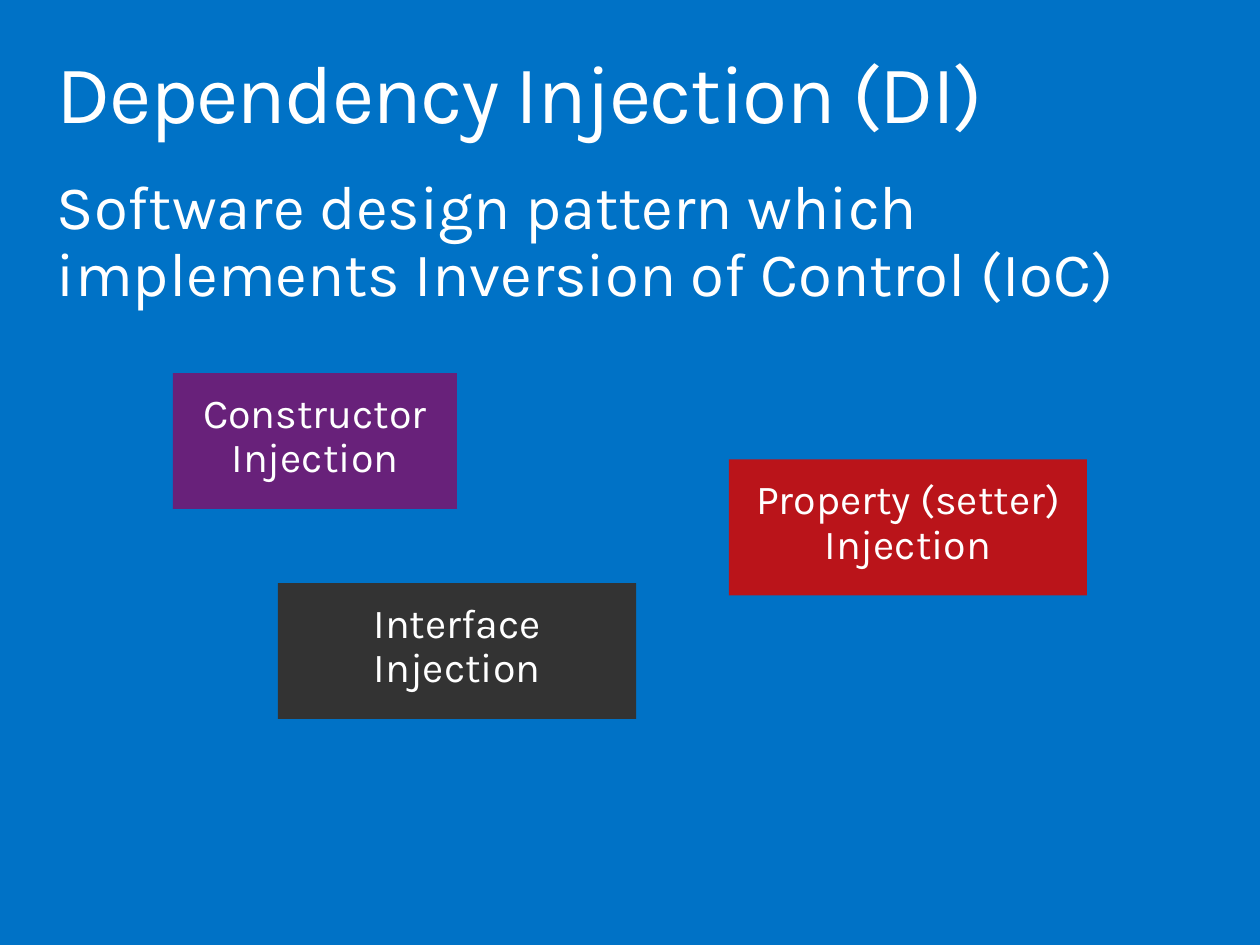
import pptx
import pptx.dml.color
import pptx.enum.shapes
import pptx.enum.text
import pptx.oxml.ns
import pptx.util
from dataclasses import dataclass

CELL = pptx.util.Inches(0.1)  # grid step
COLS, ROWS = 102, 76.5
ALIGN = pptx.enum.text.PP_ALIGN


@dataclass(frozen=True)
class Theme:
    font: str = "Karla"
    back: str = "0072C6"
    text: str = "FFFFFF"
    purple: str = "68217A"
    red: str = "BA141A"
    gray: str = "333333"
    title: int = 48
    body: int = 36
    label: int = 24


THEME = Theme()


def grid(count):
    return round(count * CELL)


def color(code):
    return pptx.dml.color.RGBColor.from_string(code)


def apply(item, values):
    for name, value in values.items():
        setattr(item, name, value)


def paint(fill, code):
    fill.solid()
    fill.fore_color.rgb = color(code)


def place(shape, left, top, width, height):
    spots = {"left": left, "top": top, "width": width, "height": height}
    apply(shape, {name: grid(count) for name, count in spots.items()})


def write(shape, text, size, align, side, edge):
    """Fill a shape with one paragraph; side and edge are its margins."""
    frame = shape.text_frame
    frame.text = text
    apply(frame, {
        "word_wrap": True,
        "auto_size": pptx.enum.text.MSO_AUTO_SIZE.NONE,
        "vertical_anchor": pptx.enum.text.MSO_ANCHOR.TOP,
        "margin_left": grid(side), "margin_right": grid(side),
        "margin_top": grid(edge), "margin_bottom": grid(edge),
    })
    para = frame.paragraphs[0]
    apply(para, {"alignment": align, "line_spacing": 0.9})
    font = para.runs[0].font
    apply(font, {"name": THEME.font, "size": pptx.util.Pt(size)})
    font.color.rgb = color(THEME.text)
    return para


def head(shape, text, size, top, height):
    """Set a left-aligned placeholder across the slide."""
    place(shape, 3, top, COLS - 6, height)
    return write(shape, text, size, ALIGN.LEFT, 1.6, 1)


def plain(para):
    """Drop the bullet and its indent."""
    props = para._p.get_or_add_pPr()
    for name in ("marL", "indent"):
        props.set(name, "0")
    props.append(pptx.oxml.parse_xml(
        "<a:buNone %s/>" % pptx.oxml.ns.nsdecls("a")))


def box(slide, text, fill, left, top, width):
    kind = pptx.enum.shapes.MSO_SHAPE.RECTANGLE
    shape = slide.shapes.add_shape(kind, 0, 0, CELL, CELL)
    place(shape, left, top, width, 11)
    paint(shape.fill, fill)
    shape.line.fill.background()
    shape.shadow.inherit = False
    write(shape, text, THEME.label, ALIGN.CENTER, 2, 1.6)


def main():
    deck = pptx.Presentation()
    apply(deck, {"slide_width": grid(COLS), "slide_height": grid(ROWS)})
    slide = deck.slides.add_slide(deck.slide_layouts[1])
    paint(slide.background.fill, THEME.back)

    # Title and definition
    title, body = slide.placeholders
    para = head(title, "Dependency Injection (DI)", THEME.title, 3.2, 10)
    para.runs[0].font._element.set("spc", "-100")
    plain(head(body, "Software design pattern which implements "
               "Inversion of Control (IoC)", THEME.body, 13.3, 12.9))

    # Kinds of injection: text, fill, left, top, width
    for kind in (
        ("Constructor Injection", THEME.purple, 14, 30.2, 23),
        ("Property (setter) Injection", THEME.red, 59, 37.2, 29),
        ("Interface Injection", THEME.gray, 22.5, 47.2, 29),
    ):
        box(slide, *kind)

    deck.save("out.pptx")


main()
